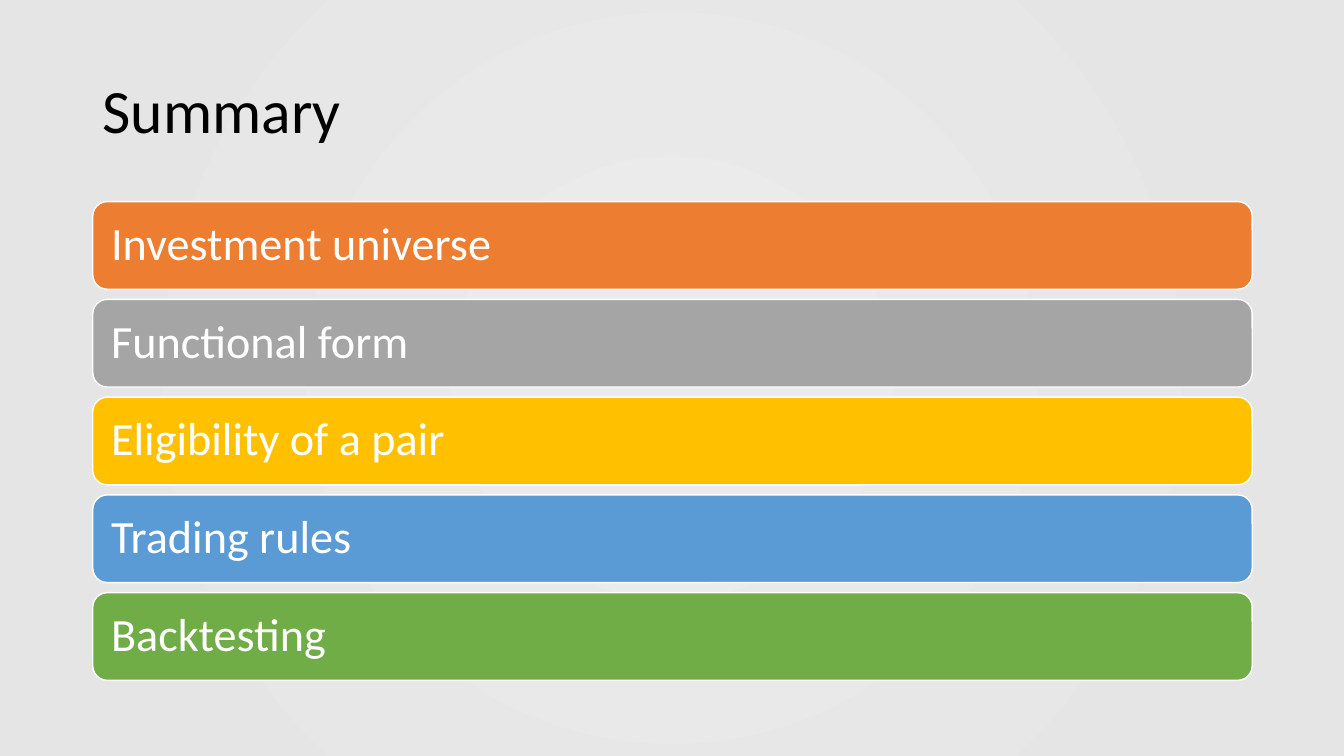
from lxml.etree import SubElement
from pptx import Presentation
from pptx.dml.color import RGBColor
from pptx.enum.shapes import MSO_SHAPE
from pptx.enum.text import MSO_ANCHOR, PP_ALIGN
from pptx.oxml.ns import qn
from pptx.util import Inches, Pt

BLACK = RGBColor(0x00, 0x00, 0x00)
WHITE = RGBColor(0xFF, 0xFF, 0xFF)
CENTRE_GREY = RGBColor(0xEC, 0xEB, 0xEB)
EDGE_GREY = RGBColor(0xE5, 0xE5, 0xE5)
ORANGE = RGBColor(0xED, 0x7D, 0x31)
GREY = RGBColor(0xA5, 0xA5, 0xA5)
GOLD = RGBColor(0xFF, 0xC0, 0x00)
BLUE = RGBColor(0x5B, 0x9B, 0xD5)
GREEN = RGBColor(0x70, 0xAD, 0x47)

SLIDE_WIDTH, SLIDE_HEIGHT = 13.33, 7.5
TOPICS = [
    ("Investment universe", ORANGE),
    ("Functional form", GREY),
    ("Eligibility of a pair", GOLD),
    ("Trading rules", BLUE),
    ("Backtesting", GREEN),
]
TITLE_FONT = {"name": "Calibri", "size": Pt(44)}
TOPIC_FONT = {"name": "Calibri", "size": Pt(33)}


def write_text(shape, text, font, color, inset):
    frame = shape.text_frame
    layout = {
        "word_wrap": True,
        "vertical_anchor": MSO_ANCHOR.MIDDLE,
        "margin_left": Inches(inset),
        "margin_right": Inches(inset),
    }
    for name, value in layout.items():
        setattr(frame, name, value)
    para = frame.paragraphs[0]
    para.alignment = PP_ALIGN.LEFT
    para.line_spacing = 0.9
    span = para.add_run()
    span.text = text
    for name, value in font.items():
        setattr(span.font, name, value)
    span.font.color.rgb = color


def add_backdrop(page, left, top, width, height):
    """Cover the box with a grey gradient that darkens away from its centre."""
    backdrop = page.shapes.add_shape(
        MSO_SHAPE.RECTANGLE, Inches(left), Inches(top), Inches(width), Inches(height))
    backdrop.shadow.inherit = False
    backdrop.line.fill.background()
    backdrop.fill.gradient()
    stops = [(0.1, CENTRE_GREY), (0.85, EDGE_GREY)]
    for stop, (position, color) in zip(backdrop.fill.gradient_stops, stops):
        stop.position = position
        stop.color.rgb = color
    gradient = backdrop._element.spPr.find(qn("a:gradFill"))
    gradient.remove(gradient.find(qn("a:lin")))
    circle = SubElement(gradient, qn("a:path"), {"path": "circle"})
    SubElement(circle, qn("a:fillToRect"), {side: "50000" for side in "ltrb"})


def add_title(page, text, left, top, width, height):
    title = page.shapes.add_textbox(
        Inches(left), Inches(top), Inches(width), Inches(height))
    write_text(title, text, TITLE_FONT, BLACK, 0.1)


def add_topics(page, topics, left, top, width, height, gap=0.1):
    """Stack one rounded bar per topic, evenly filling the box."""
    bar_height = (height - gap * (len(topics) - 1)) / len(topics)
    for index, (text, color) in enumerate(topics):
        bar_top = top + index * (bar_height + gap)
        bar = page.shapes.add_shape(
            MSO_SHAPE.ROUNDED_RECTANGLE, Inches(left), Inches(bar_top),
            Inches(width), Inches(bar_height))
        bar.shadow.inherit = False
        bar.fill.solid()
        bar.fill.fore_color.rgb = color
        bar.line.color.rgb = WHITE
        bar.line.width = Pt(1)
        write_text(bar, text, TOPIC_FONT, WHITE, 0.14)


def main():
    deck = Presentation()
    deck.slide_width = Inches(SLIDE_WIDTH)
    deck.slide_height = Inches(SLIDE_HEIGHT)
    page = deck.slides.add_slide(deck.slide_layouts[6])
    add_backdrop(page, 0, 0, SLIDE_WIDTH, SLIDE_HEIGHT)
    add_title(page, "Summary", 0.92, 0.4, 11.5, 1.45)
    add_topics(page, TOPICS, 0.92, 2, 11.5, 4.75)
    deck.save("out.pptx")


if __name__ == "__main__":
    main()
